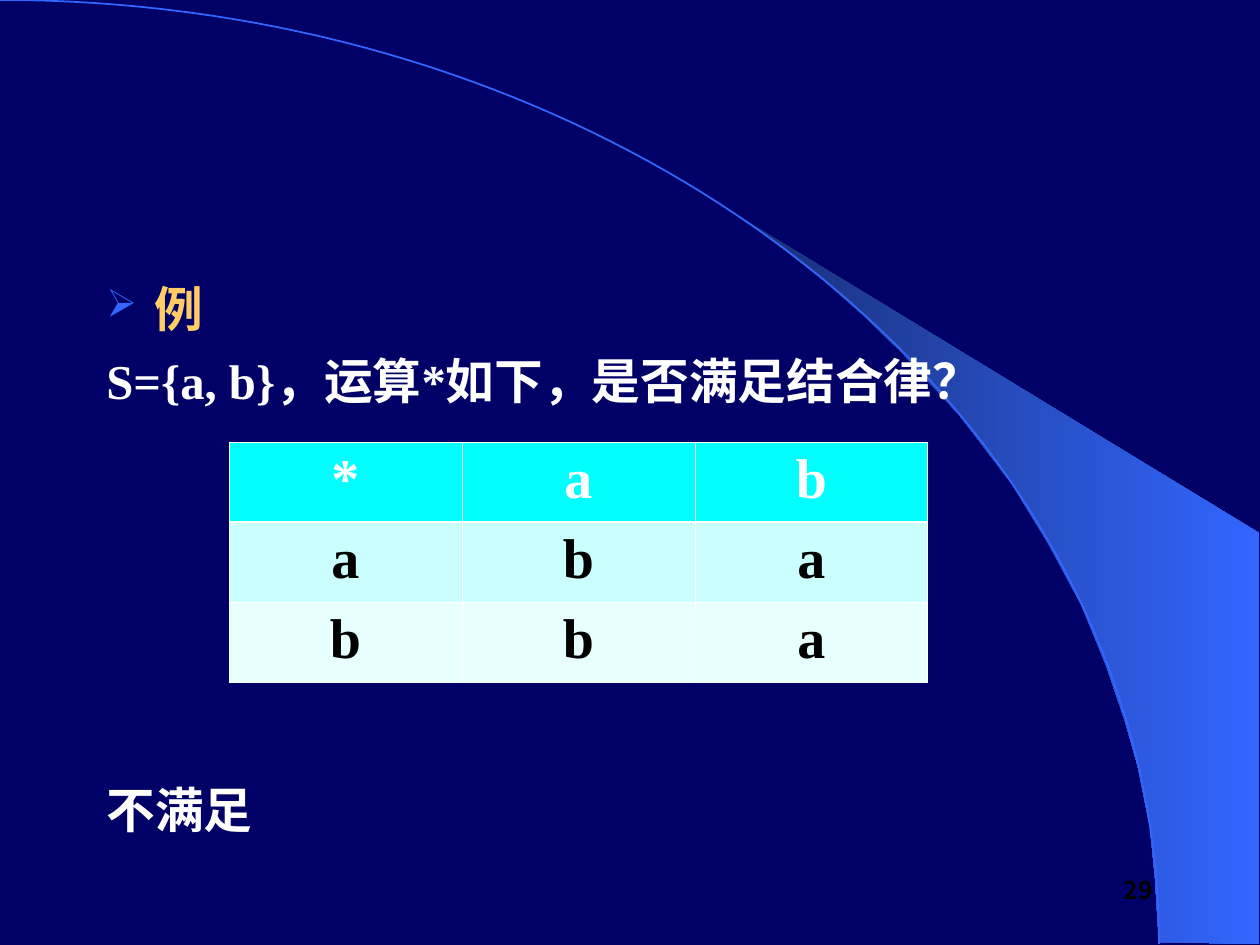
import pptx
import pptx.dml.color
import pptx.enum.text
import pptx.oxml
import pptx.oxml.ns
import pptx.util
from lxml import etree

RGBColor = pptx.dml.color.RGBColor
ALIGN = pptx.enum.text.PP_ALIGN

EMU_PER_PX = 914400 / 126
FONT = "Times New Roman"
NUMBER_FONT = "Noto Sans CJK SC"
BODY_SIZE = 27.8

NAVY = RGBColor(0x00, 0x00, 0x66)
DEEP_BLUE = RGBColor(0x18, 0x2F, 0x76)
BLUE = RGBColor(0x33, 0x66, 0xFF)
GOLD = RGBColor(0xFF, 0xCC, 0x66)
WHITE = RGBColor(0xFF, 0xFF, 0xFF)
BLACK = RGBColor(0x00, 0x00, 0x00)
ROW_FILLS = [
    RGBColor(0x00, 0xFF, 0xFF),
    RGBColor(0xCB, 0xFF, 0xFF),
    RGBColor(0xE7, 0xFF, 0xFF),
]

WEDGE = [
    (1159, 942), (1259, 944), (1259, 533), (742, 218), (786, 251),
    (823, 280), (863, 315), (902, 353), (960, 416), (1012, 484),
    (1048, 543), (1081, 604), (1106, 665), (1125, 721), (1138, 767),
    (1150, 827), (1155, 877),
]
ARC_CONTROLS = [(0, 0), (640, 0), (1159, 422), (1159, 944)]
ARC_STEPS = 80

OPERATION_TABLE = [
    ["*", "a", "b"],
    ["a", "b", "a"],
    ["b", "b", "a"],
]


def px(length):
    return pptx.util.Emu(round(length * EMU_PER_PX))


def bezier_points(controls, steps):
    points = []
    for step in range(steps + 1):
        t = step / steps
        weights = [(1 - t) ** 3, 3 * t * (1 - t) ** 2, 3 * t ** 2 * (1 - t), t ** 3]
        points.append(tuple(
            sum(weight * control[axis] for weight, control in zip(weights, controls))
            for axis in (0, 1)
        ))
    return points


def add_outline(slide, points, close):
    start, *others = [(px(x), px(y)) for x, y in points]
    builder = slide.shapes.build_freeform(*start, scale=1.0)
    builder.add_line_segments(others, close=close)
    shape = builder.convert_to_shape()
    shape.shadow.inherit = False
    return shape


def add_backdrop(slide):
    """Draw the gradient wedge and the arc that bounds it."""
    wedge = add_outline(slide, WEDGE, close=True)
    wedge.line.fill.background()
    wedge.fill.gradient()
    wedge.fill.gradient_angle = 0
    for stop, color, position in zip(wedge.fill.gradient_stops, (DEEP_BLUE, BLUE), (0, 1)):
        stop.color.rgb = color
        stop.position = position

    arc = add_outline(slide, bezier_points(ARC_CONTROLS, ARC_STEPS), close=False)
    arc.fill.background()
    arc.line.color.rgb = BLUE
    arc.line.width = pptx.util.Pt(1)


def style_font(paragraph, size, color, name=FONT):
    font = paragraph.font
    font.name = name
    font.size = pptx.util.Pt(size)
    font.bold = True
    font.color.rgb = color


def add_bullet(paragraph, character, color, indent):
    properties = paragraph._p.get_or_add_pPr()
    properties.set("marL", str(px(indent)))
    properties.set("indent", str(-px(indent)))
    bullet_color = etree.SubElement(properties, pptx.oxml.ns.qn("a:buClr"))
    etree.SubElement(bullet_color, pptx.oxml.ns.qn("a:srgbClr"), val=str(color))
    etree.SubElement(properties, pptx.oxml.ns.qn("a:buSzPct"), val="80000")
    etree.SubElement(properties, pptx.oxml.ns.qn("a:buChar"), char=character)


def add_text(slide, left, top, width, height, text):
    """Add a wrapping text box and return its paragraphs, one per line of text."""
    frame = slide.shapes.add_textbox(px(left), px(top), px(width), px(height)).text_frame
    frame.word_wrap = True
    frame.text = text
    return frame.paragraphs


def set_border(cell, side, width):
    properties = cell._tc.get_or_add_tcPr()
    line = etree.SubElement(
        properties, pptx.oxml.ns.qn(f"a:ln{side}"), w=str(pptx.util.Pt(width)))
    fill = etree.SubElement(line, pptx.oxml.ns.qn("a:solidFill"))
    etree.SubElement(fill, pptx.oxml.ns.qn("a:srgbClr"), val=str(WHITE))


def add_operation_table(slide, left, top, column_width, row_height):
    row_count, column_count = len(OPERATION_TABLE), len(OPERATION_TABLE[0])
    table = slide.shapes.add_table(
        row_count, column_count, px(left), px(top),
        px(column_width * column_count), px(row_height * row_count)).table
    for row_index, values in enumerate(OPERATION_TABLE):
        for column_index, value in enumerate(values):
            cell = table.cell(row_index, column_index)
            for side in "LRTB":
                under_header = (row_index, side) in ((0, "B"), (1, "T"))
                set_border(cell, side, 1.47 if under_header else 0.45)
            cell.fill.solid()
            cell.fill.fore_color.rgb = ROW_FILLS[row_index]
            cell.text = value
            paragraph = cell.text_frame.paragraphs[0]
            paragraph.alignment = ALIGN.CENTER
            style_font(paragraph, 32, WHITE if row_index == 0 else BLACK)


def main():
    presentation = pptx.Presentation()
    presentation.slide_width = px(1260)
    presentation.slide_height = px(945)
    slide = presentation.slides.add_slide(presentation.slide_layouts[6])
    slide.background.fill.solid()
    slide.background.fill.fore_color.rgb = NAVY

    add_backdrop(slide)

    heading, question = add_text(
        slide, 94, 273, 1071, 150, "例\nS={a, b}，运算*如下，是否满足结合律？")
    add_bullet(heading, "➢", BLUE, 48)
    style_font(heading, BODY_SIZE, GOLD)
    question.space_before = pptx.util.Pt(7.5)
    style_font(question, BODY_SIZE, WHITE)

    add_operation_table(slide, 229, 442, 233, 80)

    answer, = add_text(slide, 94, 774, 1071, 72, "不满足")
    style_font(answer, BODY_SIZE, WHITE)

    page_number, = add_text(slide, 1065, 869, 100, 48, "29")
    page_number.alignment = ALIGN.RIGHT
    style_font(page_number, 14, BLACK, NUMBER_FONT)

    presentation.save("out.pptx")


if __name__ == "__main__":
    main()
